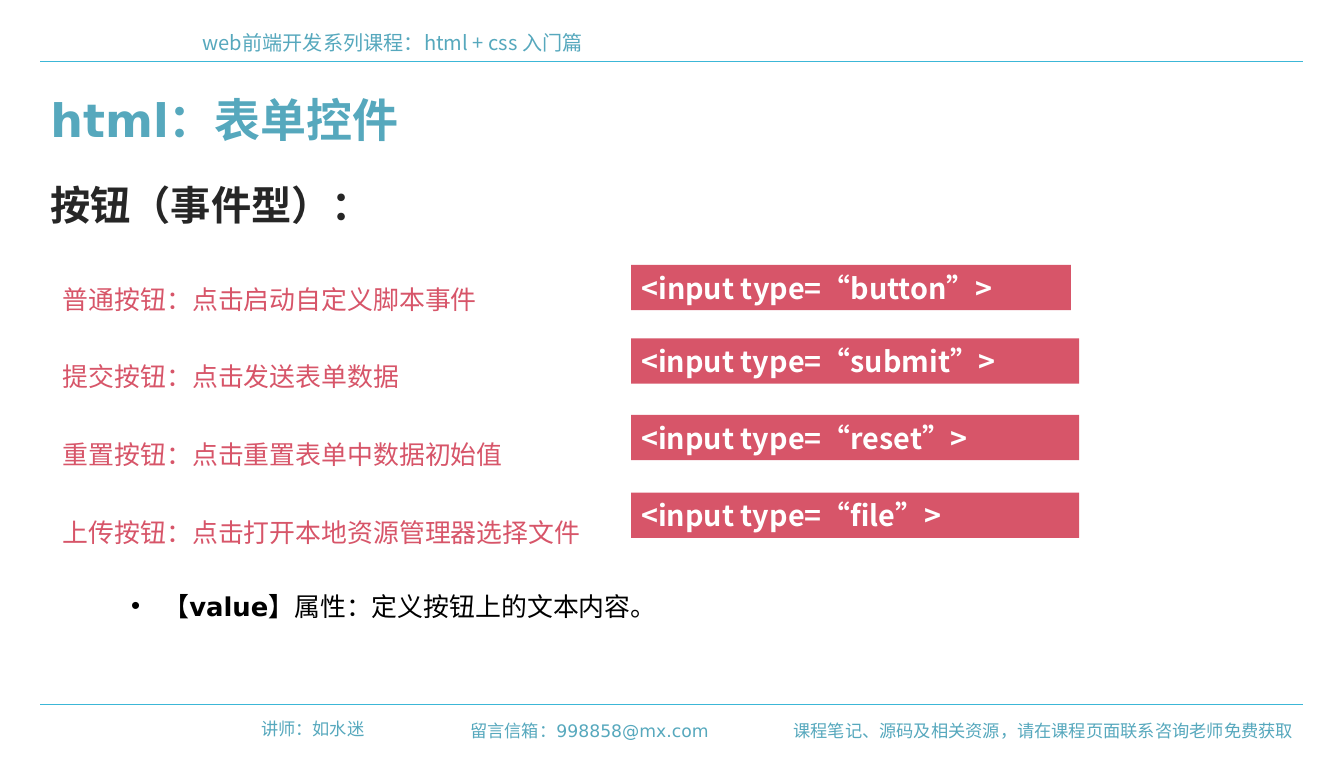
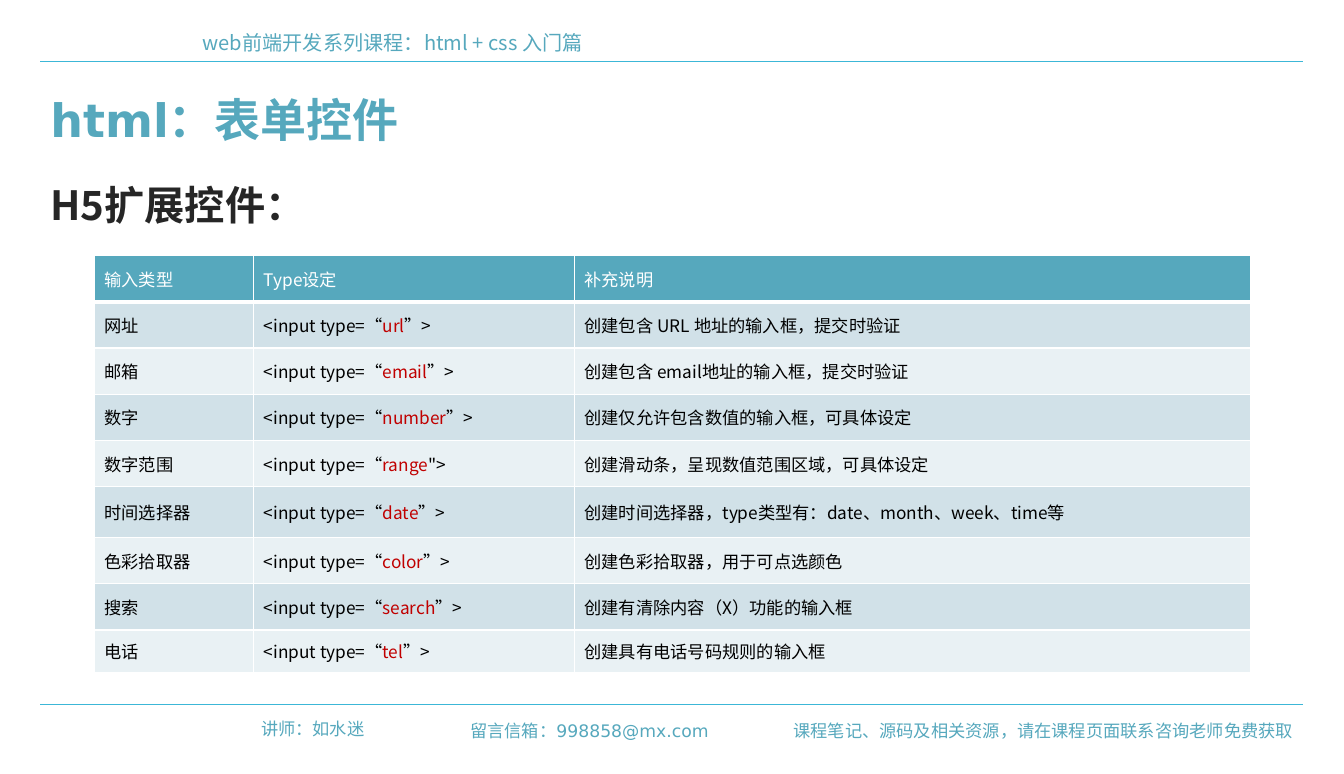
import pptx
import pptx.util
import pptx.dml.color
import pptx.enum.shapes
import pptx.enum.text
import pptx.oxml.ns
from lxml import etree

Pt = pptx.util.Pt
RGB = pptx.dml.color.RGBColor
ALIGN = pptx.enum.text.PP_ALIGN
ANCHOR = pptx.enum.text.MSO_ANCHOR
qn = pptx.oxml.ns.qn

# Palette and fonts
TEAL = RGB(0x56, 0xA8, 0xBD)
RULE = RGB(0x3C, 0xB7, 0xD7)
ROSE = RGB(0xD7, 0x55, 0x69)
RED = RGB(0xC0, 0x00, 0x00)
INK = RGB(0x26, 0x26, 0x26)
BLACK = RGB(0x00, 0x00, 0x00)
WHITE = RGB(0xFF, 0xFF, 0xFF)
BAND_DARK = RGB(0xD1, 0xE1, 0xE8)
BAND_LIGHT = RGB(0xE9, 0xF1, 0xF4)
SANS = "DejaVu Sans"
CJK = "Noto Sans CJK SC"

LEFT, RIGHT = 28, 907


class Deck:
    """Holds the shared style and the slide being filled."""

    def __init__(self):
        self.prs = pptx.Presentation()
        self.prs.slide_width, self.prs.slide_height = Pt(935.28), Pt(538.56)
        self.slide = None

    def new_slide(self, subtitle):
        self.slide = self.prs.slides.add_slide(self.prs.slide_layouts[6])
        # Header and footer
        for y in (42.5, 490.3):
            self.rule(y)
        self.text(134, 17, 757, 24.5, ["web前端开发系列课程：html + css 入门篇"], 14, TEAL, CJK)
        for x, y, width, note in (
            (161.3, 496, 99.4, "讲师：如水迷"),
            (541.4, 497.5, 365.8, "课程笔记、源码及相关资源，请在课程页面联系咨询老师免费获取"),
            (308.9, 497.5, 191.5, "留言信箱：998858@mx.com"),
        ):
            self.text(x, y, width, 21.6, [note], 12, TEAL, align=ALIGN.RIGHT)
        # Titles
        self.text(LEFT, 121.7, 479, 41, [subtitle], 28, INK, CJK, bold=True)
        self.text(LEFT, 59.8, 878, 46, ["html：表单控件"], 32, TEAL, bold=True)

    def style(self, run, size, color, font=SANS, bold=False):
        run.font.size, run.font.bold, run.font.name = Pt(size), bold, font
        run.font.color.rgb = color
        east_asian = etree.SubElement(run.font._element, qn("a:ea"))
        east_asian.set("typeface", font)

    def rule(self, y):
        line = self.slide.shapes.add_connector(
            pptx.enum.shapes.MSO_CONNECTOR.STRAIGHT, Pt(LEFT), Pt(y), Pt(RIGHT), Pt(y))
        line.line.color.rgb, line.line.width = RULE, Pt(0.75)
        etree.SubElement(line._element.spPr, qn("a:effectLst"))

    def text(self, x, y, width, height, lines, size, color, font=SANS, bold=False,
             align=ALIGN.LEFT, anchor=ANCHOR.MIDDLE, spacing=None):
        box = self.slide.shapes.add_textbox(Pt(x), Pt(y), Pt(width), Pt(height))
        frame = box.text_frame
        frame.word_wrap, frame.vertical_anchor = True, anchor
        frame.text = "\n".join(lines)
        for paragraph in frame.paragraphs:
            paragraph.alignment = align
            if spacing:
                paragraph.line_spacing = Pt(spacing)
            for run in paragraph.runs:
                self.style(run, size, color, font, bold)
        return frame

    def bullet(self, x, y, width, height, term, explanation):
        frame = self.text(x, y, width, height, [term], 18, BLACK, bold=True,
                          anchor=ANCHOR.TOP, spacing=43)
        paragraph = frame.paragraphs[0]
        paragraph.level = 1
        props = paragraph._p.get_or_add_pPr()
        props.set("marL", str(Pt(70)))
        props.set("indent", str(-Pt(22.5)))
        etree.SubElement(props, qn("a:buFont")).set("typeface", "Arial")
        etree.SubElement(props, qn("a:buChar")).set("char", "•")
        run = paragraph.add_run()
        run.text = explanation
        self.style(run, 18, BLACK)

    def code(self, x, y, width, height, code):
        bar = self.slide.shapes.add_shape(
            pptx.enum.shapes.MSO_SHAPE.RECTANGLE, Pt(x), Pt(y), Pt(width), Pt(height))
        bar.shadow.inherit = False
        bar.fill.solid()
        bar.fill.fore_color.rgb = ROSE
        bar.line.fill.background()
        frame = bar.text_frame
        frame.word_wrap, frame.vertical_anchor = True, ANCHOR.MIDDLE
        frame.text = code
        frame.paragraphs[0].alignment = ALIGN.LEFT
        self.style(frame.paragraphs[0].runs[0], 20, WHITE, CJK, True)

    def cell(self, cell, pieces, fill, top=1, bottom=1):
        """Fill one cell with (text, colour) pieces inside white borders."""
        props = cell._tc.get_or_add_tcPr()
        for side, weight in (("L", 1), ("R", 1), ("T", top), ("B", bottom)):
            border = etree.SubElement(props, qn(f"a:ln{side}"), w=str(Pt(weight)))
            paint = etree.SubElement(border, qn("a:solidFill"))
            etree.SubElement(paint, qn("a:srgbClr"), val=str(WHITE))
        cell.fill.solid()
        cell.fill.fore_color.rgb = fill
        cell.vertical_anchor = ANCHOR.MIDDLE
        for content, color in pieces:
            run = cell.text_frame.paragraphs[0].add_run()
            run.text = content
            self.style(run, 12, color, CJK)

    def table(self, x, y, widths, heights, headings, rows):
        table = self.slide.shapes.add_table(
            len(heights), len(widths), Pt(x), Pt(y), Pt(sum(widths)), Pt(sum(heights))).table
        for column, width in zip(table.columns, widths):
            column.width = Pt(width)
        for row, height in zip(table.rows, heights):
            row.height = Pt(height)
        for column, heading in enumerate(headings):
            self.cell(table.cell(0, column), [(heading, WHITE)], TEAL, bottom=3)
        for number, row in enumerate(rows, 1):
            fill = BAND_DARK if number % 2 else BAND_LIGHT
            for column, pieces in enumerate(row):
                self.cell(table.cell(number, column), pieces, fill, top=3 if number == 1 else 1)


def input_row(label, kind, description, closing="”>"):
    return ([(label, BLACK)],
            [("<input type=“", BLACK), (kind, RED), (closing, BLACK)],
            [(description, BLACK)])


def main():
    deck = Deck()

    # Event buttons
    deck.new_slide("按钮（事件型）：")
    deck.text(36.7, 161.3, 793.4, 225, [
        "普通按钮：点击启动自定义脚本事件",
        "提交按钮：点击发送表单数据",
        "重置按钮：点击重置表单中数据初始值",
        "上传按钮：点击打开本地资源管理器选择文件",
    ], 18, ROSE, anchor=ANCHOR.TOP, spacing=54)
    for kind, top, width in (("button", 184.3, 306), ("submit", 235.4, 311.8),
                             ("reset", 288.7, 311.8), ("file", 342.7, 311.8)):
        deck.code(439.2, top, width, 31.5, f"<input type=“{kind}”>")
    deck.bullet(36.7, 385.9, 793.4, 51, "【value】", "属性：定义按钮上的文本内容。")

    # HTML5 controls
    deck.new_slide("H5扩展控件：")
    deck.table(
        65.5, 177.8, [110.9, 223.2, 470.9], [32.2] * 5 + [35.3, 32.2, 32.2, 29.5],
        ["输入类型", "Type设定", "补充说明"],
        [
            input_row("网址", "url", "创建包含 URL 地址的输入框，提交时验证"),
            input_row("邮箱", "email", "创建包含 email地址的输入框，提交时验证"),
            input_row("数字", "number", "创建仅允许包含数值的输入框，可具体设定"),
            input_row("数字范围", "range", "创建滑动条，呈现数值范围区域，可具体设定", '">'),
            input_row("时间选择器", "date", "创建时间选择器，type类型有：date、month、week、time等"),
            input_row("色彩拾取器", "color", "创建色彩拾取器，用于可点选颜色"),
            input_row("搜索", "search", "创建有清除内容（X）功能的输入框"),
            input_row("电话", "tel", "创建具有电话号码规则的输入框"),
        ])

    deck.prs.save("out.pptx")


if __name__ == "__main__":
    main()
